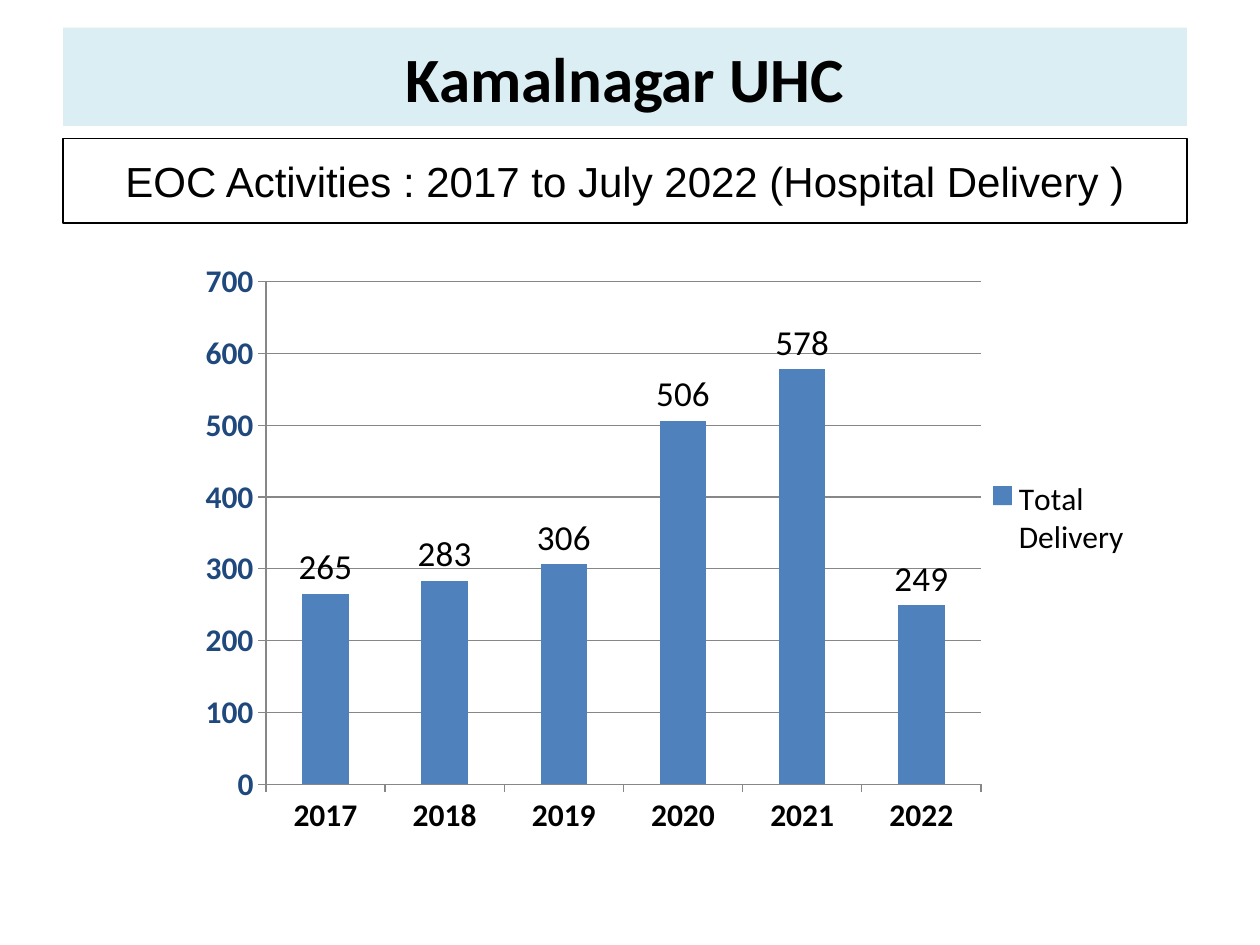
from dataclasses import dataclass

from lxml import etree
from pptx import Presentation
from pptx.chart.data import CategoryChartData
from pptx.dml.color import RGBColor
from pptx.enum import chart as ch, shapes, text
from pptx.oxml.ns import qn
from pptx.util import Inches, Pt


@dataclass(frozen=True)
class Theme:
    """Colours, fonts and type sizes of the slide."""
    black: str = "000000"
    white: str = "FFFFFF"
    band: str = "DBEEF4"
    bar: str = "4F81BD"
    value_axis: str = "1F497D"
    grid: str = "878787"
    body: str = "Calibri"
    sub: str = "Arial"
    title_size: int = 36
    sub_size: int = 24
    label_size: int = 20
    chart_size: int = 18


THEME = Theme()
LEFT, WIDTH = 0.5, 8.92
DELIVERIES = {"2017": 265, "2018": 283, "2019": 306,
              "2020": 506, "2021": 578, "2022": 249}


def set_font(font, size, name=THEME.body, color=THEME.black, bold=False):
    """Apply size, typeface, weight and colour to a font."""
    values = {"size": Pt(size), "name": name, "bold": bold}
    for key, value in values.items():
        setattr(font, key, value)
    font.color.rgb = RGBColor.from_string(color)


def fill_solid(fmt, color):
    """Give an object a solid fill."""
    fmt.fill.solid()
    fmt.fill.fore_color.rgb = RGBColor.from_string(color)


def set_line(line, color):
    """Give a line its colour and a hairline width."""
    line.color.rgb = RGBColor.from_string(color)
    line.width = Pt(0.75)


def write_banner(sp, top, height, wording, fill, **font):
    """Place a full-width box and centre its wording."""
    box = {"left": LEFT, "top": top, "width": WIDTH, "height": height}
    for key, value in box.items():
        setattr(sp, key, Inches(value))
    fill_solid(sp, fill)
    tf = sp.text_frame
    tf.word_wrap = True
    tf.auto_size = text.MSO_AUTO_SIZE.NONE
    tf.vertical_anchor = text.MSO_ANCHOR.MIDDLE
    p = tf.paragraphs[0]
    p.alignment = text.PP_ALIGN.CENTER
    r = p.add_run()
    r.text = wording
    set_font(r.font, **font)


def add_title(s):
    """Fill the title placeholder."""
    write_banner(s.shapes.title, 0.22, 0.78, "Kamalnagar UHC", THEME.band,
                 size=THEME.title_size, bold=True)


def add_subtitle(s):
    """Add the outlined box below the title."""
    sp = s.shapes.add_shape(shapes.MSO_SHAPE.RECTANGLE, 0, 0, 0, 0)
    sp.shadow.inherit = False
    set_line(sp.line, THEME.black)
    write_banner(sp, 1.1, 0.67,
                 "EOC Activities : 2017 to July 2022 (Hospital Delivery )",
                 THEME.white, size=THEME.sub_size, name=THEME.sub)


def set_layout(parent, index, box, inner=False):
    """Fix a chart part at fractions of the chart area."""
    for old in parent.findall(qn("c:layout")):
        parent.remove(old)
    layout = etree.Element(qn("c:layout"))
    manual = etree.SubElement(layout, qn("c:manualLayout"))
    values = {"layoutTarget": "inner"} if inner else {}
    values.update(xMode="edge", yMode="edge", **dict(zip("xywh", box)))
    for tag, value in values.items():
        etree.SubElement(manual, qn(f"c:{tag}")).set("val", str(value))
    parent.insert(index, layout)


def format_axis(axis, color):
    """Set tick marks, line and bold tick labels of an axis."""
    axis.major_tick_mark = ch.XL_TICK_MARK.OUTSIDE
    axis.minor_tick_mark = ch.XL_TICK_MARK.NONE
    set_line(axis.format.line, THEME.grid)
    set_font(axis.tick_labels.font, THEME.chart_size, color=color, bold=True)


def format_bars(plot):
    """Set bar spacing, colour and value labels."""
    values = {"gap_width": 157, "overlap": 7, "vary_by_categories": False,
              "has_data_labels": True}
    for key, value in values.items():
        setattr(plot, key, value)
    fill_solid(plot.series[0].format, THEME.bar)
    labels = plot.data_labels
    labels.show_value = True
    labels.position = ch.XL_LABEL_POSITION.OUTSIDE_END
    set_font(labels.font, THEME.label_size)


def add_delivery_chart(s):
    """Add the yearly delivery column chart."""
    data = CategoryChartData()
    data.categories = list(DELIVERIES)
    data.add_series("Total Delivery", list(DELIVERIES.values()))
    box = [Inches(n) for n in (1.42, 1.95, 7.67, 4.75)]
    chart = s.shapes.add_chart(ch.XL_CHART_TYPE.COLUMN_CLUSTERED,
                               *box, data).chart
    set_font(chart.font, THEME.chart_size)
    chart.has_title = False
    chart.has_legend = True
    legend = chart.legend
    legend.position = ch.XL_LEGEND_POSITION.RIGHT
    legend.include_in_layout = False
    set_font(legend.font, THEME.chart_size)
    format_axis(chart.category_axis, THEME.black)
    axis = chart.value_axis
    format_axis(axis, THEME.value_axis)
    for key, value in {"minimum_scale": 0, "maximum_scale": 700,
                       "major_unit": 100, "has_major_gridlines": True}.items():
        setattr(axis, key, value)
    set_line(axis.major_gridlines.format.line, THEME.grid)
    format_bars(chart.plots[0])
    area = chart.plots[0]._element.getparent()
    set_layout(area, 0, (0.09, 0.06, 0.74, 0.84), inner=True)
    set_layout(area.getparent().find(qn("c:legend")), 1,
               (0.83, 0.37, 0.16, 0.17))


def main():
    """Build and save the slide."""
    prs = Presentation()
    prs.slide_width, prs.slide_height = Inches(10), Inches(7.5)
    s = prs.slides.add_slide(prs.slide_layouts[5])
    add_title(s)
    add_subtitle(s)
    add_delivery_chart(s)
    prs.save("out.pptx")


if __name__ == "__main__":
    main()
